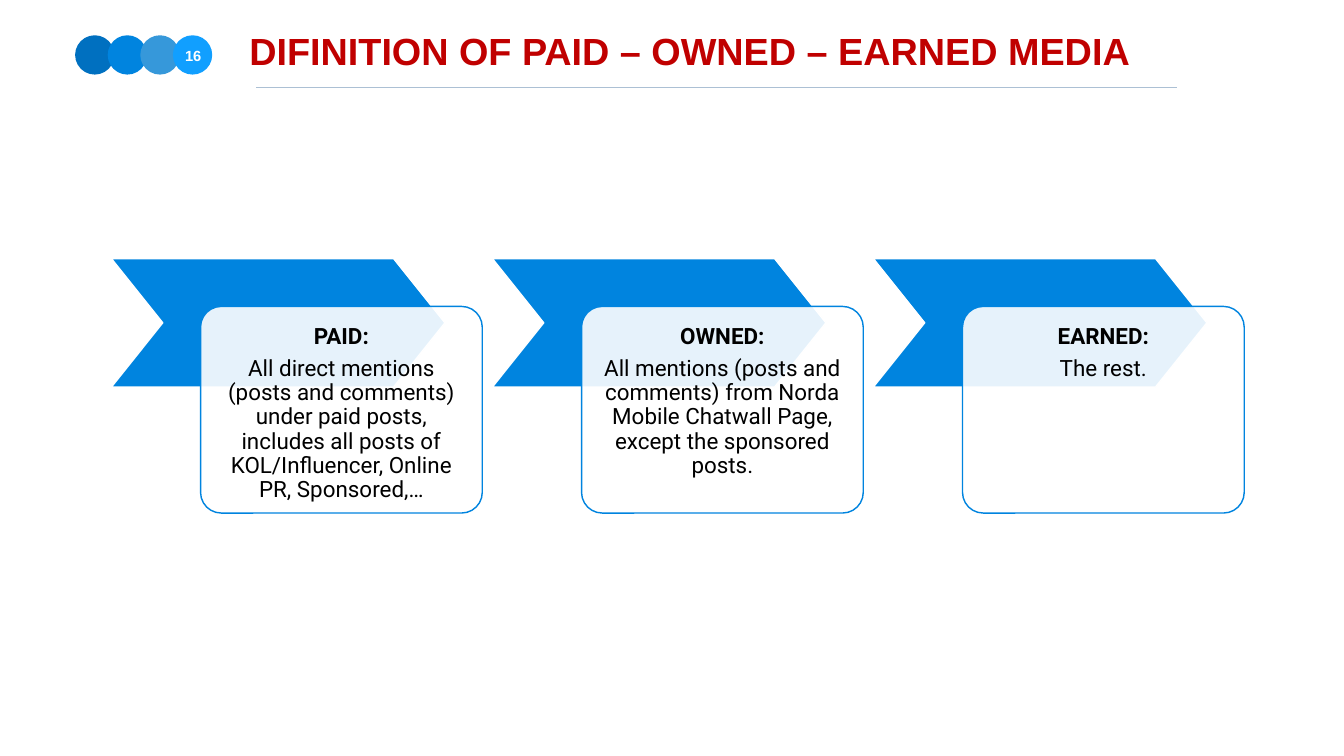
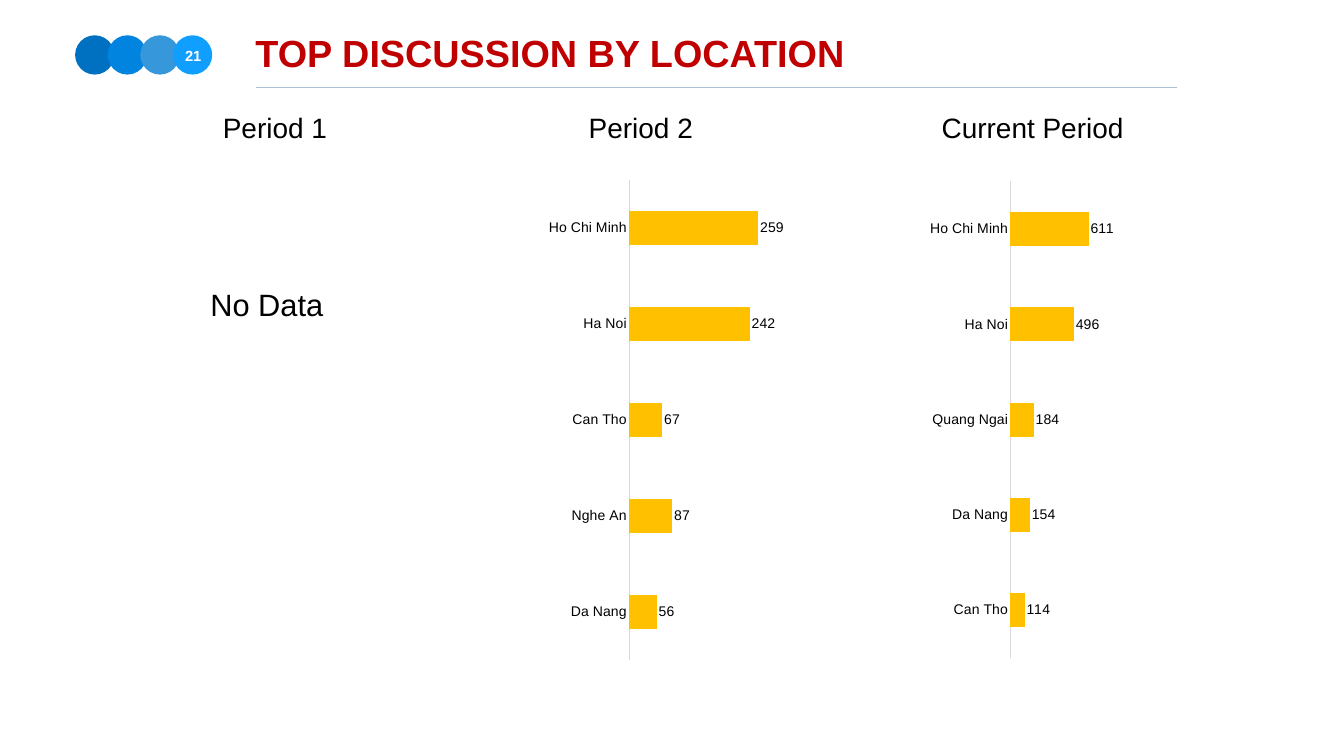
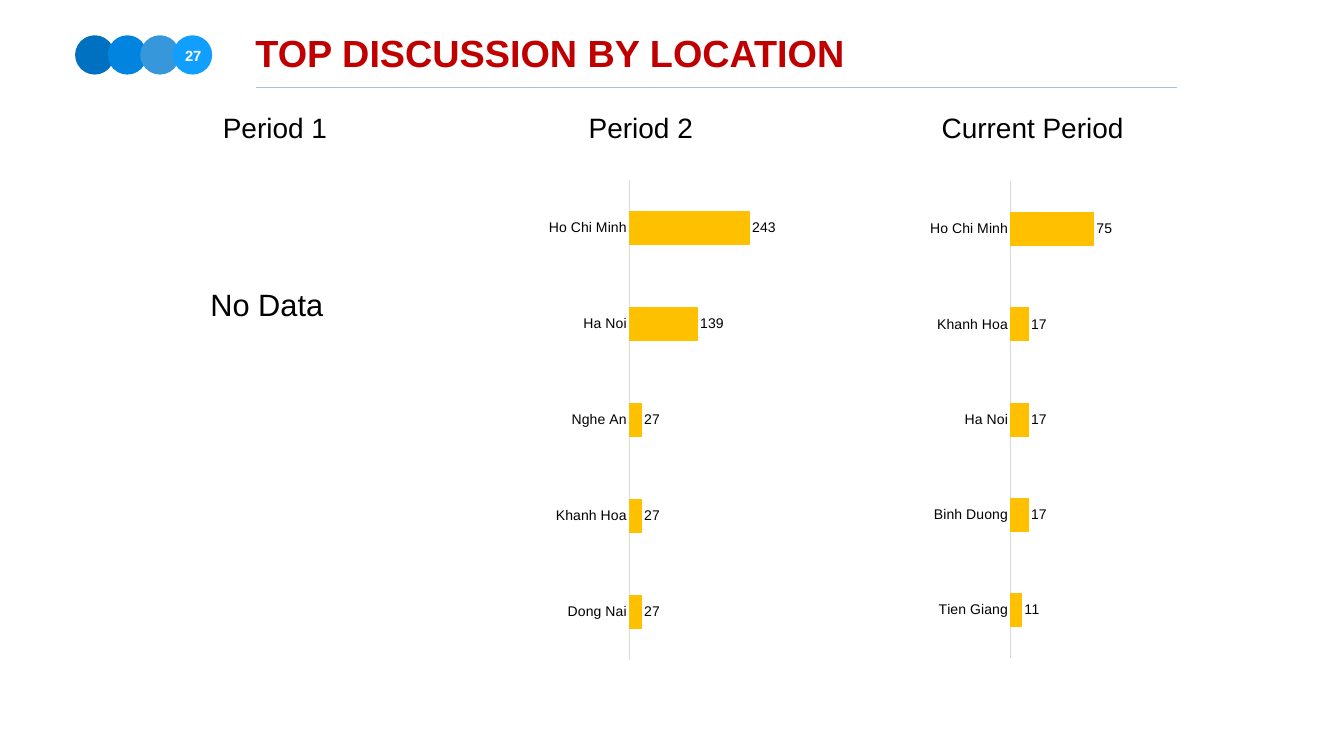
"""Build three media report slides: media definitions and two location rankings."""

from lxml import etree
from pptx import Presentation
from pptx.chart.data import CategoryChartData
from pptx.dml.color import RGBColor
from pptx.enum.chart import XL_CHART_TYPE, XL_LABEL_POSITION, XL_TICK_MARK
from pptx.enum.shapes import MSO_CONNECTOR, MSO_SHAPE
from pptx.enum.text import MSO_ANCHOR, MSO_AUTO_SIZE, PP_ALIGN
from pptx.oxml import parse_xml
from pptx.oxml.ns import nsdecls, qn
from pptx.util import Inches, Pt

BAR_CLUSTERED = XL_CHART_TYPE.BAR_CLUSTERED
OUTSIDE_END = XL_LABEL_POSITION.OUTSIDE_END
NO_TICK = XL_TICK_MARK.NONE
STRAIGHT = MSO_CONNECTOR.STRAIGHT
OVAL, CHEVRON, ROUNDED = MSO_SHAPE.OVAL, MSO_SHAPE.CHEVRON, MSO_SHAPE.ROUNDED_RECTANGLE
TOP, MIDDLE = MSO_ANCHOR.TOP, MSO_ANCHOR.MIDDLE
GROW = MSO_AUTO_SIZE.SHAPE_TO_FIT_TEXT
LEFT, CENTER = PP_ALIGN.LEFT, PP_ALIGN.CENTER

WHITE = RGBColor(0xFF, 0xFF, 0xFF)
BLACK = RGBColor(0x00, 0x00, 0x00)
TITLE_RED = RGBColor(0xC0, 0x00, 0x00)
BLUE = RGBColor(0x00, 0x84, 0xDF)
DOT_BLUES = [RGBColor(0x00, 0x70, 0xC0), BLUE,
             RGBColor(0x36, 0x98, 0xDA), RGBColor(0x11, 0x9F, 0xFF)]
RULE_BLUE = RGBColor(0xAC, 0xC0, 0xD4)
AXIS_GREY = RGBColor(0xD9, 0xD9, 0xD9)
BAR_GOLD = RGBColor(0xFF, 0xC0, 0x00)
HEADING_FONT = "Arial"
CARD_FONT = "Roboto"

LOCATION_TITLE = "TOP DISCUSSION BY LOCATION"
HEADERS = [
    (16, "DIFINITION OF PAID – OWNED – EARNED MEDIA", 4.89, 0.5),
    (21, LOCATION_TITLE, 5.01, 0.52),
    (27, LOCATION_TITLE, 5.01, 0.52),
]
MEDIA_TYPES = [
    ("PAID:", "All direct mentions (posts and comments) under paid posts, "
              "includes all posts of KOL/Influencer, Online PR, Sponsored,…"),
    ("OWNED:", "All mentions (posts and comments) from Norda Mobile Chatwall Page, "
               "except the sponsored posts."),
    ("EARNED:", "The rest."),
]
PERIOD_LABELS = [
    ("Period 1", 3.84, 2.14, 3.23, 0.79, 40),
    ("Period 2", 11.1, 2.14, 3.23, 0.79, 40),
    ("Current Period", 18.36, 2.14, 4.26, 0.79, 40),
    ("No Data", 3.24, 5.61, 4.11, 0.85, 44),
]
PERIOD_2_FRAME = (9.89, 3.57, 5.88, 9.68)
PERIOD_2_PLOT = (0.44, 0, 0.506, 0.984)
CURRENT_FRAME = (18.05, 3.57, 4.56, 9.61)
CURRENT_PLOT = (0.437, 0.003, 0.392, 0.984)
LOCATION_CHARTS = [
    (1, CURRENT_FRAME, CURRENT_PLOT, 700,
     {"Can Tho": 114, "Da Nang": 154, "Quang Ngai": 184, "Ha Noi": 496, "Ho Chi Minh": 611}),
    (1, PERIOD_2_FRAME, PERIOD_2_PLOT, 300,
     {"Da Nang": 56, "Nghe An": 87, "Can Tho": 67, "Ha Noi": 242, "Ho Chi Minh": 259}),
    (2, CURRENT_FRAME, CURRENT_PLOT, 80,
     {"Tien Giang": 11, "Binh Duong": 17, "Ha Noi": 17, "Khanh Hoa": 17, "Ho Chi Minh": 75}),
    (2, PERIOD_2_FRAME, PERIOD_2_PLOT, 300,
     {"Dong Nai": 27, "Khanh Hoa": 27, "Nghe An": 27, "Ha Noi": 139, "Ho Chi Minh": 243}),
]


def add_text(page, frame, text, size, color=BLACK, bold=False, align=CENTER, anchor=TOP):
    box = page.shapes.add_textbox(*map(Inches, frame))
    text_frame = box.text_frame
    text_frame.text = text
    text_frame.word_wrap = True
    text_frame.vertical_anchor = anchor
    text_frame.margin_left = text_frame.margin_right = Inches(0.06)
    text_frame.margin_top = text_frame.margin_bottom = Inches(0.06)
    paragraph = text_frame.paragraphs[0]
    paragraph.alignment = align
    font = paragraph.runs[0].font
    font.name, font.size, font.bold = HEADING_FONT, Pt(size), bold
    font.color.rgb = color
    return text_frame


def add_filled(page, kind, frame, fill, line=None):
    shape = page.shapes.add_shape(kind, *map(Inches, frame))
    shape.shadow.inherit = False
    shape.fill.solid()
    shape.fill.fore_color.rgb = fill
    if line is None:
        shape.line.fill.background()
    else:
        shape.line.color.rgb = line
        shape.line.width = Pt(2)
    return shape


deck = Presentation()
deck.slide_width, deck.slide_height = Inches(26.67), Inches(15)
pages = []

for number, title, title_left, title_top in HEADERS:
    page = deck.slides.add_slide(deck.slide_layouts[6])
    pages.append(page)
    for index, blue in enumerate(DOT_BLUES):
        add_filled(page, OVAL, (1.49 + index * 0.647, 0.7, 0.78, 0.78), blue)
    rule = page.shapes.add_connector(STRAIGHT, Inches(5.09), Inches(1.74),
                                     Inches(23.36), Inches(1.74))
    rule.line.color.rgb = RULE_BLUE
    rule.line.width = Pt(2)
    etree.SubElement(rule.element.spPr, qn("a:effectLst"))
    add_text(page, (title_left, title_top, 20.13, 1.24), title, 54, TITLE_RED, True, LEFT)
    number_frame = add_text(page, (3.6, 0.86, 0.47, 0.47), str(number), 21, WHITE, True)
    number_frame.word_wrap = False
    number_frame.auto_size = GROW

for index, (heading, description) in enumerate(MEDIA_TYPES):
    left = 2.21 + index * 7.56
    chevron = add_filled(pages[0], CHEVRON, (left, 5.13, 6.62, 2.55), BLUE, WHITE)
    chevron.adjustments[0] = 0.4
    card = add_filled(pages[0], ROUNDED, (left + 1.77, 6.08, 5.59, 4.1), WHITE, BLUE)
    card.adjustments[0] = 0.1
    card_color = card.element.spPr.find(qn("a:solidFill")).find(qn("a:srgbClr"))
    etree.SubElement(card_color, qn("a:alpha"), val="90000")
    text_frame = card.text_frame
    text_frame.text = f"{heading}\n{description}"
    text_frame.word_wrap = True
    text_frame.vertical_anchor = TOP
    text_frame.margin_left = text_frame.margin_right = Inches(0.25)
    text_frame.margin_top = text_frame.margin_bottom = Inches(0.25)
    for paragraph, bold in zip(text_frame.paragraphs, (True, False)):
        paragraph.alignment = CENTER
        paragraph.line_spacing = 0.9
        paragraph.space_after = Pt(11.2)
        font = paragraph.runs[0].font
        font.name, font.size, font.bold = CARD_FONT, Pt(32), bold
        font.color.rgb = BLACK

for page in pages[1:]:
    for text, left, top, width, height, size in PERIOD_LABELS:
        label_frame = add_text(page, (left, top, width, height), text, size, anchor=MIDDLE)
        label_frame.auto_size = GROW

for page_index, frame, plot_area, maximum, mentions in LOCATION_CHARTS:
    chart_data = CategoryChartData()
    chart_data.categories = list(mentions)
    chart_data.add_series("Series 1", list(mentions.values()))
    chart = pages[page_index].shapes.add_chart(
        BAR_CLUSTERED, *map(Inches, frame), chart_data).chart
    chart.has_title = False
    chart.has_legend = False
    chart.font.name, chart.font.size = HEADING_FONT, Pt(20)
    chart.font.color.rgb = BLACK

    category_axis = chart.category_axis
    category_axis.major_tick_mark = category_axis.minor_tick_mark = NO_TICK
    category_axis.format.line.color.rgb = AXIS_GREY
    category_axis.format.line.width = Pt(0.75)
    value_axis = chart.value_axis
    value_axis.minimum_scale, value_axis.maximum_scale = 0, maximum
    value_axis.has_major_gridlines = False
    value_axis.visible = False

    plot = chart.plots[0]
    plot.gap_width = 182
    plot.vary_by_categories = False
    series = plot.series[0]
    series.format.fill.solid()
    series.format.fill.fore_color.rgb = BAR_GOLD
    labels = series.data_labels
    labels.show_value = True
    labels.position = OUTSIDE_END
    labels.font.name, labels.font.size = HEADING_FONT, Pt(20)
    labels.font.color.rgb = BLACK

    plot_element = chart.element.find(".//" + qn("c:plotArea"))
    for layout in plot_element.findall(qn("c:layout")):
        plot_element.remove(layout)
    x, y, width, height = plot_area
    plot_element.insert(0, parse_xml(
        f'<c:layout {nsdecls("c")}><c:manualLayout><c:layoutTarget val="inner"/>'
        '<c:xMode val="edge"/><c:yMode val="edge"/>'
        f'<c:x val="{x}"/><c:y val="{y}"/><c:w val="{width}"/><c:h val="{height}"/>'
        '</c:manualLayout></c:layout>'))

deck.save("out.pptx")
